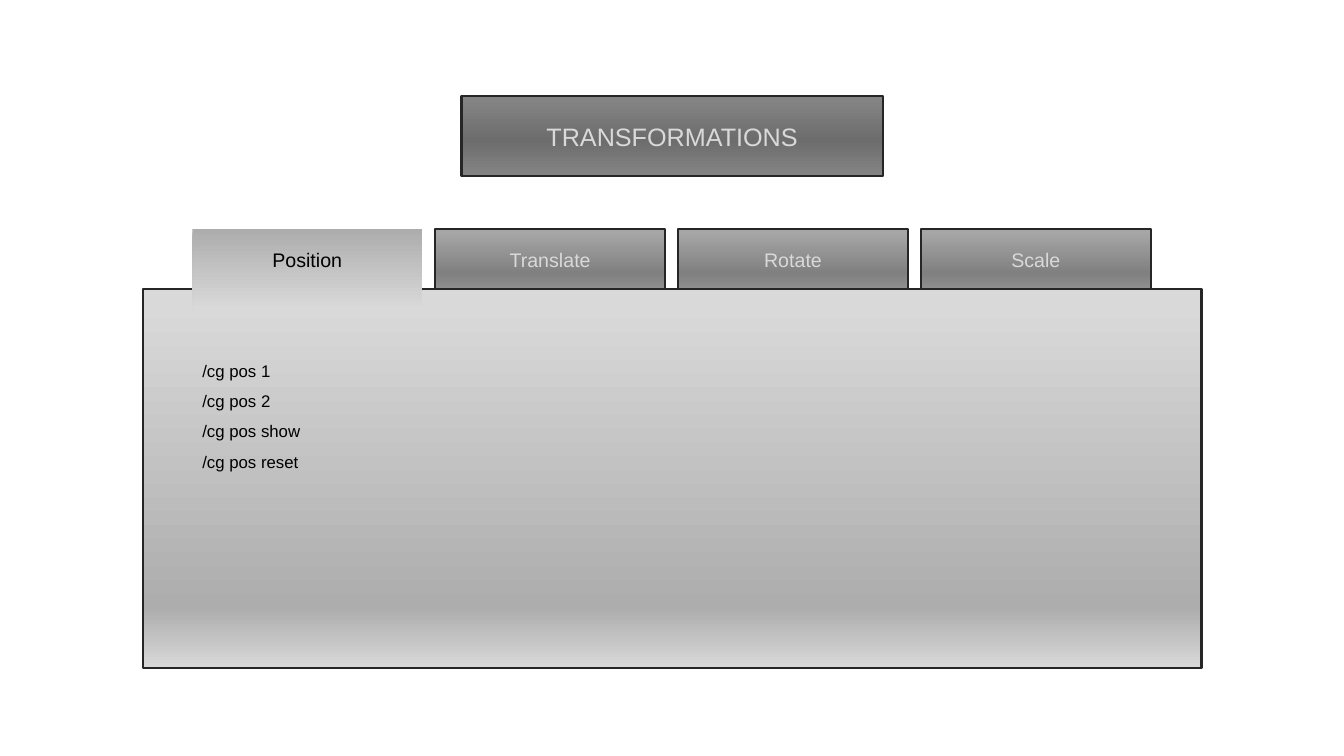
from pptx import Presentation
from pptx.dml.color import RGBColor
from pptx.enum.shapes import MSO_SHAPE as Shape
from pptx.enum.text import MSO_AUTO_SIZE as Fit, PP_ALIGN as Align
from pptx.oxml import parse_xml
from pptx.oxml.ns import nsdecls, qn
from pptx.util import Cm, Pt

EDGE, PALE, BLACK = "262626", "D9D9D9", "000000"
IDLE = [(4, "A6A6A6"), (55, "808080"), (100, "A6A6A6")]
ACTIVE = [(0, "ADADAD"), (100, "D9D9D9")]
PANEL = [(4, "D9D9D9"), (84, "ADADAD"), (100, "D9D9D9")]
TITLE = [(4, "848484"), (55, "6D6D6D"), (100, "848484")]
TABS = ["Position", "Translate", "Rotate", "Scale"]
LINES = ["/cg pos 1", "/cg pos 2", "/cg pos show", "/cg pos reset"]


def color(code):
    return RGBColor.from_string(code)


def shade(shape, stops):
    """Fill the shape from top to bottom through (percent, colour) stops."""
    shape.fill.gradient()
    shape.fill.gradient_angle = 270
    grad = shape._element.spPr.find(qn("a:gradFill"))
    marks = "".join(
        f'<a:gs pos="{pos * 1000}"><a:srgbClr val="{code}"/></a:gs>'
        for pos, code in stops
    )
    old = grad.find(qn("a:gsLst"))
    grad.replace(old, parse_xml(f'<a:gsLst {nsdecls("a")}>{marks}</a:gsLst>'))


def block(slide, box, stops, edge=True):
    shape = slide.shapes.add_shape(
        Shape.ROUNDED_RECTANGLE, *(Cm(n) for n in box))
    shape.adjustments[0] = 0
    shape.shadow.inherit = False
    shade(shape, stops)
    if edge:
        shape.line.color.rgb = color(EDGE)
        shape.line.width = Pt(1.5)
    else:
        shape.line.fill.background()


def text(slide, box, lines, size, code, align=Align.CENTER, space=None):
    frame = slide.shapes.add_textbox(*(Cm(n) for n in box)).text_frame
    frame.word_wrap = True
    frame.auto_size = Fit.SHAPE_TO_FIT_TEXT
    for i, line in enumerate(lines):
        para = frame.add_paragraph() if i else frame.paragraphs[0]
        para.alignment = align
        para.line_spacing = space
        run = para.add_run()
        run.text = line
        run.font.name = "Arial"
        run.font.size = Pt(size)
        run.font.color.rgb = color(code)


def title(slide, box):
    x, y, w, h = box
    block(slide, box, TITLE)
    text(slide, (x, y + 0.51, w, 1.02), ["TRANSFORMATIONS"], 18, PALE)


def tab(slide, box, name, active=False):
    x, y, w, h = box
    block(slide, box, ACTIVE if active else IDLE, not active)
    text(slide, (x, y + 0.36, w, 0.86), [name], 14,
         BLACK if active else PALE)


def panel(slide, box):
    """Draw the page: idle tabs behind it, the active tab in front."""
    x, y, w, h = box
    spots = [(x + 1.24 + i * 6.12, y - 1.52, 5.79, 2.03)
             for i in range(len(TABS))]
    for spot, name in zip(spots[1:], TABS[1:]):
        tab(slide, spot, name)
    block(slide, box, PANEL)
    tab(slide, spots[0], TABS[0], True)
    text(slide, (x + 1.24, y + 1.42, 14.22, 3.15), LINES, 12, BLACK,
         Align.LEFT, 1.5)


def main():
    deck = Presentation()
    deck.slide_width, deck.slide_height = Cm(33.87), Cm(19.05)
    slide = deck.slides.add_slide(deck.slide_layouts[6])
    title(slide, (11.63, 2.41, 10.62, 2.03))
    panel(slide, (3.61, 7.29, 26.67, 9.55))
    deck.save("out.pptx")


if __name__ == "__main__":
    main()
